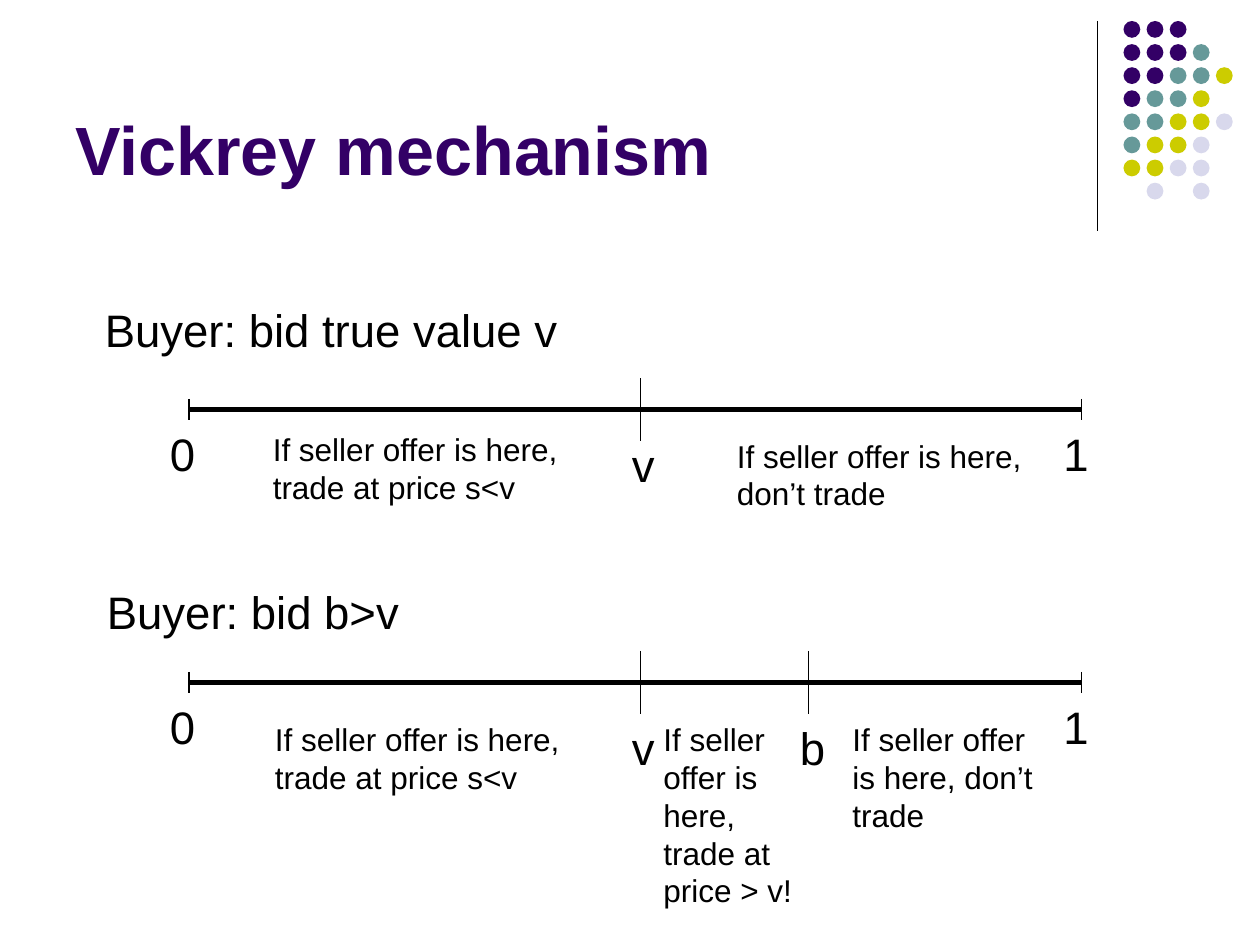
from dataclasses import dataclass

from lxml import etree
from pptx import Presentation
from pptx.dml.color import RGBColor
from pptx.enum.shapes import MSO_CONNECTOR, MSO_SHAPE
from pptx.enum.text import MSO_ANCHOR, MSO_AUTO_SIZE
from pptx.oxml.ns import qn
from pptx.util import Emu, Pt

PX = 7620  # EMU per px, 120 px to the inch
STRAIGHT = MSO_CONNECTOR.STRAIGHT
OVAL = MSO_SHAPE.OVAL
TOP, BOTTOM = MSO_ANCHOR.TOP, MSO_ANCHOR.BOTTOM
GROW, FIXED = MSO_AUTO_SIZE.SHAPE_TO_FIT_TEXT, MSO_AUTO_SIZE.NONE

FONT = "Arial"
BLACK, PURPLE = "000000", "330066"
DOT_COLORS = {"P": PURPLE, "T": "669999", "Y": "CCCC00", "L": "D8D8EC"}
DOT_ROWS = ["PPP", "PPPT", "PPTTY", "PTTY", "TTYYL", "TYYL", "YYLL", " L L"]
DOT_LEFT, DOT_TOP, DOT_STEP, DOT_SIZE = 1070, 20, 22, 16

AXIS_LEFT, AXIS_RIGHT = 180, 1030
END_TICK, MARK_TICK = 10, 30
LABEL_SIZE, NOTE_SIZE, TITLE_SIZE = 26, 18, 39


@dataclass
class Label:
    lines: list[str]
    left: int
    top: int
    width: int
    height: int
    size: int = LABEL_SIZE
    wrap: bool = False
    color: str = BLACK
    bold: bool = False
    anchor: MSO_ANCHOR = TOP
    fit: MSO_AUTO_SIZE = GROW


@dataclass
class Mark:
    name: str
    x: int


@dataclass
class BidCase:
    heading: Label
    axis_y: int
    mark_top: int
    marks: list[Mark]
    notes: list[Label]


def px(n: int) -> Emu:
    return Emu(n * PX)


def rgb(color: str) -> RGBColor:
    return RGBColor.from_string(color)


def add_line(s, x1: int, y1: int, x2: int, y2: int, width: float = 0.75) -> None:
    line = s.shapes.add_connector(STRAIGHT, px(x1), px(y1), px(x2), px(y2))
    line.line.color.rgb = rgb(BLACK)
    line.line.width = Pt(width)
    etree.SubElement(line._element.spPr, qn("a:effectLst"))


def add_tick(s, x: int, y: int, half: int) -> None:
    add_line(s, x, y - half, x, y + half)


def add_label(s, label: Label) -> None:
    sp = s.shapes.add_textbox(px(label.left), px(label.top),
                              px(label.width), px(label.height))
    tf = sp.text_frame
    tf.word_wrap = label.wrap
    tf.auto_size = label.fit
    tf.vertical_anchor = label.anchor
    for i, line in enumerate(label.lines):
        p = tf.add_paragraph() if i else tf.paragraphs[0]
        r = p.add_run()
        r.text = line
        r.font.name = FONT
        r.font.size = Pt(label.size)
        r.font.bold = label.bold
        r.font.color.rgb = rgb(label.color)


def add_dots(s) -> None:
    group = s.shapes.add_group_shape()
    for row, codes in enumerate(DOT_ROWS):
        for col, code in enumerate(codes):
            if code not in DOT_COLORS:
                continue
            sp = group.shapes.add_shape(
                OVAL, px(DOT_LEFT + col * DOT_STEP), px(DOT_TOP + row * DOT_STEP),
                px(DOT_SIZE), px(DOT_SIZE))
            sp.shadow.inherit = False
            sp.fill.solid()
            sp.fill.fore_color.rgb = rgb(DOT_COLORS[code])
            sp.line.fill.background()


def add_case(s, case: BidCase) -> None:
    y = case.axis_y
    add_label(s, case.heading)
    # Axis from 0 to 1
    add_line(s, AXIS_LEFT, y, AXIS_RIGHT, y, 3)
    for name, x, label_left in (("0", AXIS_LEFT, 150), ("1", AXIS_RIGHT, 1001)):
        add_tick(s, x, y, END_TICK)
        add_label(s, Label([name], label_left, y + 10, 48, 65))
    # Values marked on the axis
    for mark in case.marks:
        add_tick(s, mark.x, y, MARK_TICK)
        add_label(s, Label([mark.name], mark.x - 20, case.mark_top, 48, 65))
    for note in case.notes:
        add_label(s, note)


def trade_note(outcome: str, left: int, top: int) -> Label:
    return Label(["If seller offer is here,", outcome], left, top, 296, 84, NOTE_SIZE)


TITLE = Label(["Vickrey mechanism"], 60, 16, 990, 170, TITLE_SIZE, True,
              PURPLE, True, BOTTOM, FIXED)
CASES = [
    BidCase(
        Label(["Buyer: bid true value v"], 88, 282, 456, 65), 390, 410,
        [Mark("v", 610)],
        [trade_note("trade at price s<v", 248, 404),
         trade_note("don’t trade", 690, 410)]),
    BidCase(
        Label(["Buyer: bid b>v"], 90, 550, 304, 65), 650, 680,
        [Mark("v", 610), Mark("b", 770)],
        [trade_note("trade at price s<v", 250, 680),
         Label(["If seller offer is here, don’t trade"],
               800, 680, 210, 120, NOTE_SIZE, True),
         Label(["If seller offer is here, trade at price > v!"],
               620, 680, 150, 192, NOTE_SIZE, True)]),
]


def main() -> None:
    prs = Presentation()
    prs.slide_width, prs.slide_height = px(1200), px(900)
    s = prs.slides.add_slide(prs.slide_layouts[6])
    # Corner decoration
    add_line(s, 1045, 20, 1045, 220)
    add_dots(s)
    # Title and the two bidding cases
    add_label(s, TITLE)
    for case in CASES:
        add_case(s, case)
    prs.save("out.pptx")


if __name__ == "__main__":
    main()
